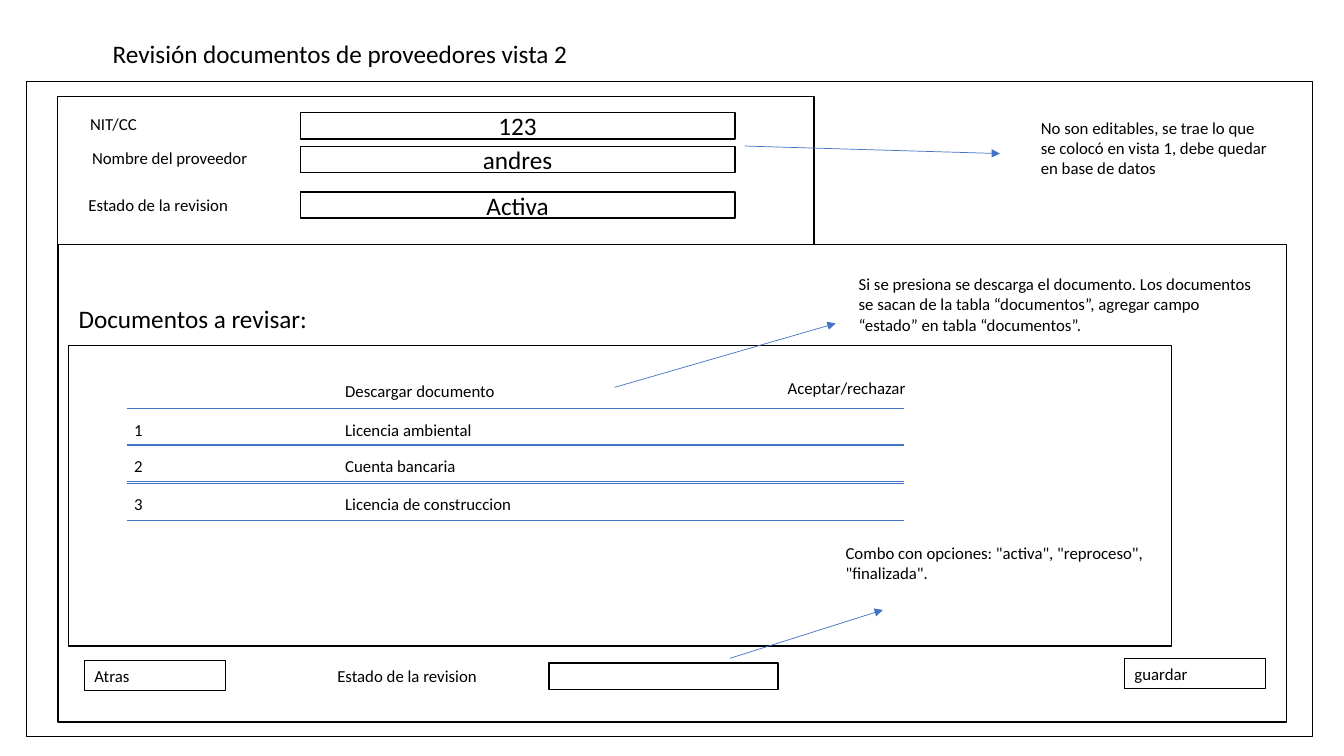
"""Wireframe slide for reviewing supplier documents."""
from dataclasses import dataclass

from lxml import etree
from pptx import Presentation
from pptx.dml.color import RGBColor
from pptx.enum import shapes, text
from pptx.oxml import ns
from pptx.util import Cm, Pt


@dataclass(frozen=True)
class Theme:
    ink: RGBColor = RGBColor(0x00, 0x00, 0x00)
    blue: RGBColor = RGBColor(0x44, 0x72, 0xC4)
    font: str = "Calibri"
    small: float = 12
    large: float = 18
    rule: float = 0.5
    thin: float = 0.75
    edge: float = 1


THEME = Theme()


@dataclass(frozen=True)
class Box:
    left: float
    top: float
    width: float
    height: float = 0.76
    words: str = ""
    size: float = THEME.small
    edge: float = 0
    center: bool = False


@dataclass(frozen=True)
class Line:
    left: float
    top: float
    right: float
    end: float
    arrow: bool = False


@dataclass(frozen=True)
class File:
    top: float
    name: str


FRAMES = [
    Box(0.67, 2.06, 32.41, 16.5, edge=THEME.edge),
    Box(1.45, 2.44, 19.07, 3.73, edge=THEME.edge),
    Box(1.73, 8.71, 27.79, 7.57, edge=THEME.edge),
    Box(1.46, 6.16, 30.96, 12.04, edge=THEME.edge),
    Box(13.84, 16.71, 5.77, 0.66, edge=THEME.edge),
]
FIELDS = [
    Box(7.57, top, 10.95, 0.66, words, THEME.large, THEME.edge, True)
    for top, words in [(2.84, "123"), (3.69, "andres"), (4.84, "Activa")]
]
BUTTONS = [
    Box(2.13, 16.64, 3.56, words="Atras", edge=THEME.thin),
    Box(28.34, 16.6, 3.56, words="guardar", edge=THEME.thin),
]
TITLES = [
    Box(2.59, 0.84, 12.7, 1.02, "Revisión documentos de proveedores vista 2", THEME.large),
    Box(1.73, 7.52, 7.9, 1.02, "Documentos a revisar:", THEME.large),
]
LABELS = [
    Box(2.02, 2.74, 4.72, words="NIT/CC"),
    Box(2.07, 3.61, 4.72, words="Nombre del proveedor"),
    Box(1.98, 4.78, 4.72, words="Estado de la revision"),
    Box(8.25, 16.66, 4.72, words="Estado de la revision"),
    Box(8.45, 9.47, 4.95, words="Descargar documento"),
    Box(19.6, 9.4, 3.56, words="Aceptar/rechazar"),
]
NOTES = [
    Box(25.98, 2.84, 6.35, 1.8,
        "No son editables, se trae lo que se colocó en vista 1, "
        "debe quedar en base de datos"),
    Box(21.39, 6.78, 10.52, 1.8,
        "Si se presiona se descarga el documento. Los documentos se sacan de "
        "la tabla “documentos”, agregar campo “estado” en tabla “documentos”."),
    Box(21.06, 13.56, 8.74, 1.27,
        'Combo con opciones: "activa", "reproceso", "finalizada".'),
]
ARROWS = [
    Line(18.77, 3.68, 25.2, 3.87, True),
    Line(15.49, 9.76, 21.06, 8.15, True),
    Line(18.39, 16.59, 22.25, 15.37, True),
]
FILES = [
    File(10.29, "Licencia ambiental"),
    File(11.2, "Cuenta bancaria"),
    File(12.17, "Licencia de construccion"),
]
DEPTH, PAD = 0.93, 0.15


def apply(target: object, values: dict) -> None:
    """Set each named format value on the target."""
    for name, value in values.items():
        setattr(target, name, value)


def write(shape, box: Box) -> None:
    """Put the words of a box into its shape."""
    frame = shape.text_frame
    apply(frame, {
        "word_wrap": True,
        "auto_size": text.MSO_AUTO_SIZE.NONE if box.center
        else text.MSO_AUTO_SIZE.SHAPE_TO_FIT_TEXT,
        "vertical_anchor": text.MSO_ANCHOR.MIDDLE if box.center
        else text.MSO_ANCHOR.TOP,
    })
    para = frame.paragraphs[0]
    para.alignment = text.PP_ALIGN.CENTER if box.center else text.PP_ALIGN.LEFT
    run = para.add_run()
    run.text = box.words
    apply(run.font, {"name": THEME.font, "size": Pt(box.size)})
    run.font.color.rgb = THEME.ink


def draw(slide, box: Box) -> None:
    """Draw a box as an outlined rectangle or a plain text box."""
    place = [Cm(n) for n in (box.left, box.top, box.width, box.height)]
    if box.edge:
        shape = slide.shapes.add_shape(shapes.MSO_SHAPE.RECTANGLE, *place)
        shape.shadow.inherit = False
        shape.fill.background()
        shape.line.color.rgb = THEME.ink
        shape.line.width = Pt(box.edge)
    else:
        shape = slide.shapes.add_textbox(*place)
    if box.words:
        write(shape, box)


def link(slide, line: Line) -> None:
    """Draw a straight line, with an arrowhead if asked for."""
    ends = [Cm(n) for n in (line.left, line.top, line.right, line.end)]
    shape = slide.shapes.add_connector(shapes.MSO_CONNECTOR.STRAIGHT, *ends)
    shape.line.color.rgb = THEME.blue
    shape.line.width = Pt(THEME.rule)
    if line.arrow:
        stroke = shape.line._get_or_add_ln()
        etree.SubElement(stroke, ns.qn("a:tailEnd"), type="triangle")
    etree.SubElement(shape._element.spPr, ns.qn("a:effectLst"))


def row(slide, index: int, file: File) -> None:
    """Draw one document row between its two rules."""
    for edge in (file.top, file.top + DEPTH):
        link(slide, Line(3.2, edge, 22.78, edge))
    draw(slide, Box(3.13, file.top + PAD, 3.56, words=str(index)))
    draw(slide, Box(8.45, file.top + PAD, 5.38, words=file.name))


def main() -> None:
    """Build the slide and save it."""
    deck = Presentation()
    apply(deck, {"slide_width": Cm(33.87), "slide_height": Cm(19.05)})
    slide = deck.slides.add_slide(deck.slide_layouts[6])
    for box in FRAMES + FIELDS + BUTTONS + TITLES + LABELS + NOTES:
        draw(slide, box)
    for index, file in enumerate(FILES, 1):
        row(slide, index, file)
    for arrow in ARROWS:
        link(slide, arrow)
    deck.save("out.pptx")


if __name__ == "__main__":
    main()
